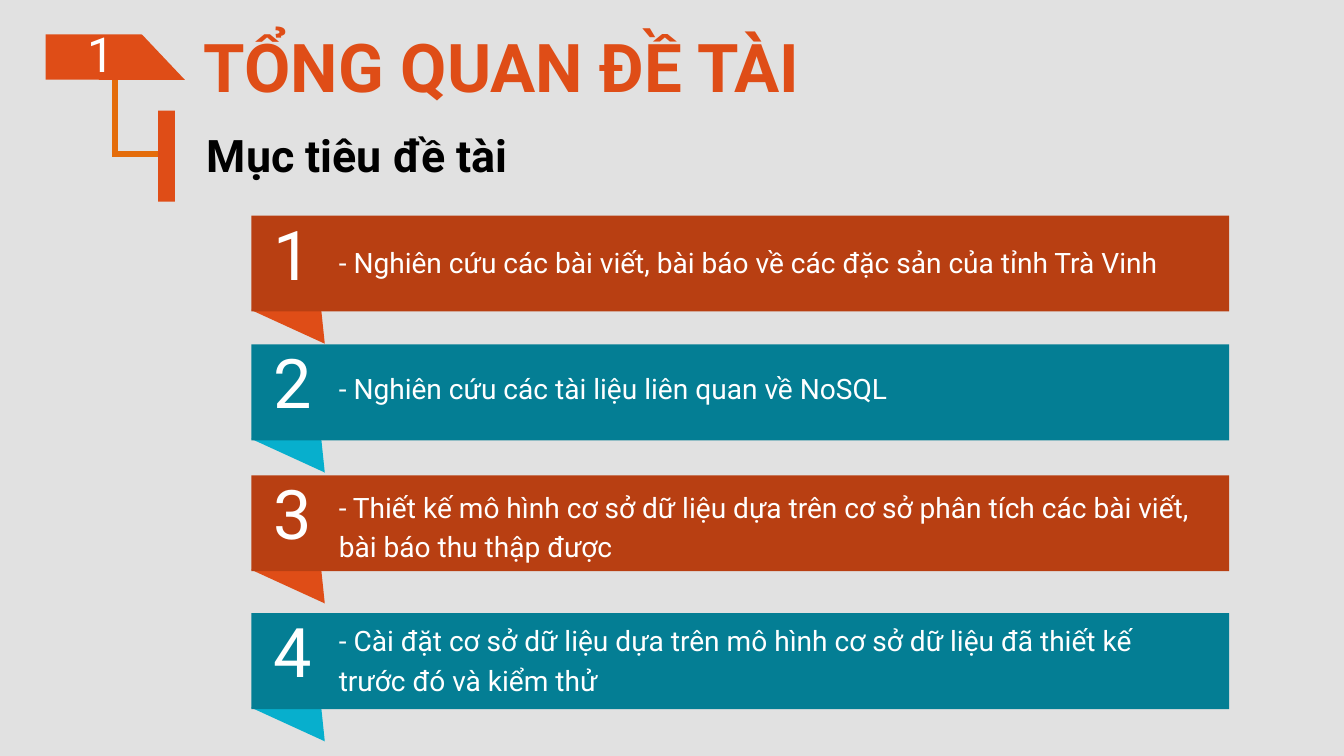
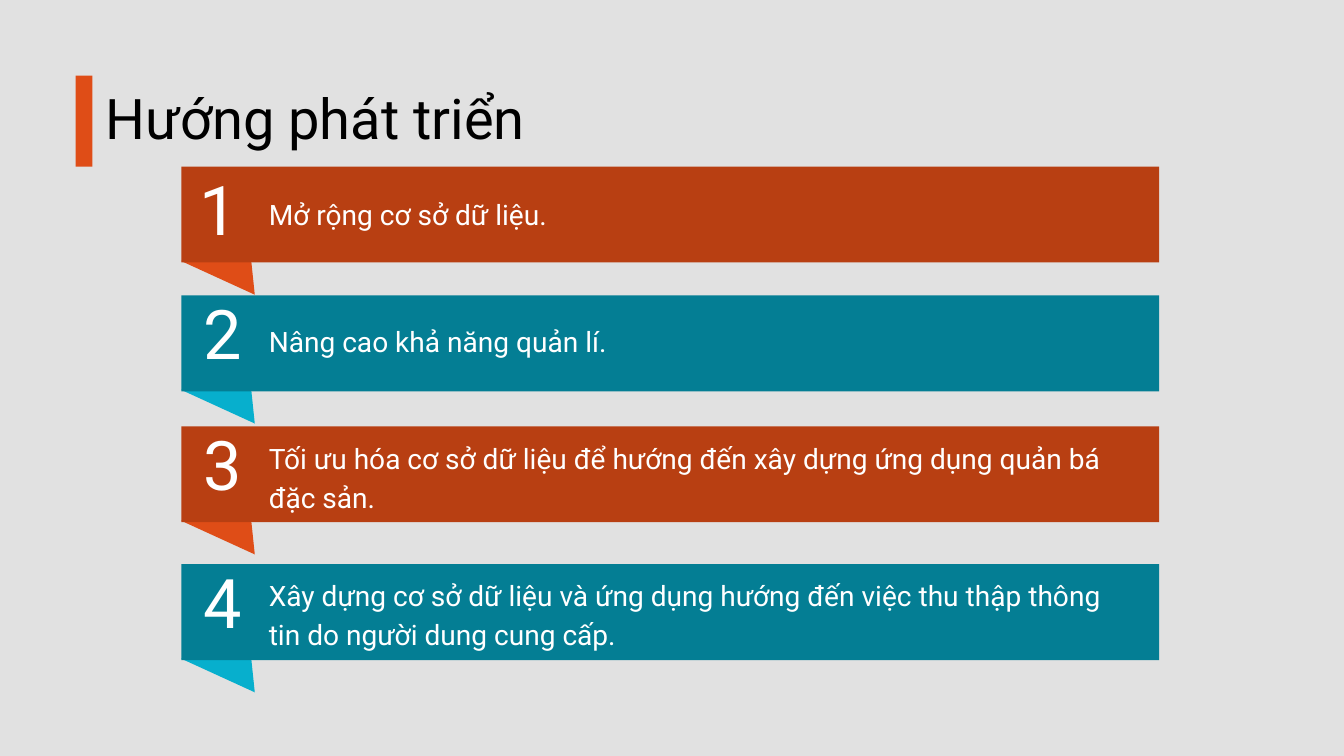
from dataclasses import dataclass
from lxml.etree import SubElement
from pptx import Presentation
from pptx.dml.color import RGBColor
from pptx.enum.shapes import MSO_CONNECTOR as Connector, MSO_SHAPE as Preset
from pptx.enum.text import MSO_ANCHOR as Anchor, MSO_AUTO_SIZE as AutoSize, PP_ALIGN as Align
from pptx.oxml.ns import qn
from pptx.util import Pt

EMU_PER_PX = 9525
TITLE_ONLY = 5
BAND_OFFSETS = (0, 184, 371, 568)
BAND_SIZE = (1397, 137)
FOLD_POINTS = ((0, 135), (93, 68), (105, 183))
BAR_SIZE = (24, 130)


def px(length):
    return length * EMU_PER_PX


@dataclass(frozen=True)
class TextStyle:
    size: float
    spacing: float
    color: str
    bold: bool = False
    align: Align = Align.LEFT


@dataclass(frozen=True)
class Theme:
    font: str = "Roboto"
    background: str = "E1E1E1"
    accent: str = "DF4D17"
    elbow: str = "E46C0A"
    band_colors: tuple = (("B83F12", "DF4D17"), ("047E94", "07AFCD"))
    elbow_width: int = 6
    chapter: TextStyle = TextStyle(72, 112, "DF4D17", bold=True)
    heading: TextStyle = TextStyle(60, 84, "000000")
    subheading: TextStyle = TextStyle(48, 56, "000000", bold=True, align=Align.CENTER)
    tag: TextStyle = TextStyle(51.6, 51.6, "FFFFFF", align=Align.CENTER)
    number: TextStyle = TextStyle(73.3, 73.3, "FFFFFF", align=Align.CENTER)
    item: TextStyle = TextStyle(30.1, 42.2, "FFFFFF")


@dataclass(frozen=True)
class Item:
    text: str
    text_drop: int
    text_height: int = 57
    number_shift: tuple = (0, 0)


class Deck:
    def __init__(self, theme):
        self.theme = theme
        self.presentation = Presentation()
        self.presentation.slide_width = px(1920)
        self.presentation.slide_height = px(1080)
        background = self.presentation.slide_master.background.fill
        background.solid()
        background.fore_color.rgb = RGBColor.from_string(theme.background)
        self.slide = None

    def new_slide(self):
        layout = self.presentation.slide_layouts[TITLE_ONLY]
        self.slide = self.presentation.slides.add_slide(layout)

    def paint(self, shape, color):
        shape.shadow.inherit = False
        shape.fill.solid()
        shape.fill.fore_color.rgb = RGBColor.from_string(color)
        shape.line.fill.background()

    def shape(self, preset, left, top, width, height, color):
        shape = self.slide.shapes.add_shape(preset, px(left), px(top), px(width), px(height))
        self.paint(shape, color)

    def polygon(self, points, color):
        start, *others = points
        builder = self.slide.shapes.build_freeform(*start, scale=EMU_PER_PX)
        builder.add_line_segments(others, close=True)
        self.paint(builder.convert_to_shape(), color)

    def line(self, start, end, color, width):
        connector = self.slide.shapes.add_connector(
            Connector.STRAIGHT, *map(px, start), *map(px, end))
        connector.line.color.rgb = RGBColor.from_string(color)
        connector.line.width = Pt(width)
        properties = connector.element.find(qn("p:spPr"))
        SubElement(properties, qn("a:effectLst"))

    def fill_text(self, shape, text, style):
        frame = shape.text_frame
        frame.word_wrap = True
        frame.auto_size = AutoSize.SHAPE_TO_FIT_TEXT
        frame.vertical_anchor = Anchor.TOP
        frame.margin_left = frame.margin_right = frame.margin_top = frame.margin_bottom = 0
        paragraph = frame.paragraphs[0]
        paragraph.alignment = style.align
        paragraph.line_spacing = Pt(style.spacing)
        run = paragraph.add_run()
        run.text = text
        run.font.name = self.theme.font
        run.font.size = Pt(style.size)
        run.font.bold = style.bold
        run.font.color.rgb = RGBColor.from_string(style.color)

    def text(self, text, left, top, width, height, style):
        box = self.slide.shapes.add_textbox(px(left), px(top), px(width), px(height))
        self.fill_text(box, text, style)

    def title(self, text, left, top, width, height, style):
        title = self.slide.shapes.title
        title.left, title.top = px(left), px(top)
        title.width, title.height = px(width), px(height)
        self.fill_text(title, text, style)

    def accent_bar(self, left, top):
        self.shape(Preset.RECTANGLE, left, top, *BAR_SIZE, self.theme.accent)

    def chapter_tag(self, number):
        theme = self.theme
        self.line((164, 111), (164, 220), theme.elbow, theme.elbow_width)
        self.line((160, 220), (231, 220), theme.elbow, theme.elbow_width)
        self.shape(Preset.RECTANGLE, 65, 49, 137, 65, theme.accent)
        self.shape(Preset.ISOSCELES_TRIANGLE, 141, 49, 123, 65, theme.accent)
        self.text(number, 64, 49, 160, 69, theme.tag)

    def band(self, left, top, number, item):
        band_color, fold_color = self.theme.band_colors[(number - 1) % 2]
        self.polygon([(left + x, top + y) for x, y in FOLD_POINTS], fold_color)
        self.shape(Preset.RECTANGLE, left, top, *BAND_SIZE, band_color)
        shift_x, shift_y = item.number_shift
        self.text(str(number), left - 55 + shift_x, top + 14 + shift_y, 228, 98,
                  self.theme.number)
        self.text(item.text, left + 125, top + item.text_drop, 1239, item.text_height,
                  self.theme.item)

    def bands(self, left, top, items):
        for number, (offset, item) in enumerate(zip(BAND_OFFSETS, items), 1):
            self.band(left, top + offset, number, item)


def add_objectives(deck):
    deck.new_slide()
    deck.title("TỔNG QUAN ĐỀ TÀI", 291, 2, 908, 151, deck.theme.chapter)
    deck.bands(359, 308, (
        Item("- Nghiên cứu các bài viết, bài báo về các đặc sản của tỉnh Trà Vinh", 35),
        Item("- Nghiên cứu các tài liệu liên quan về NoSQL", 30),
        Item("- Thiết kế mô hình cơ sở dữ liệu dựa trên cơ sở phân tích các bài viết, "
             "bài báo thu thập được", 13, 113),
        Item("- Cài đặt cơ sở dữ liệu dựa trên mô hình cơ sở dữ liệu đã thiết kế trước "
             "đó và kiểm thử", 7, 113),
    ))
    deck.chapter_tag("1")
    deck.accent_bar(226, 158)
    deck.text("Mục tiêu đề tài", 237, 185, 547, 76, deck.theme.subheading)


def add_future_work(deck):
    deck.new_slide()
    deck.title("Hướng phát triển", 151, 103, 703, 113, deck.theme.heading)
    deck.accent_bar(108, 108)
    deck.bands(259, 238, (
        Item("Mở rộng cơ sở dữ liệu.", 36, number_shift=(-5, 6)),
        Item("Nâng cao khả năng quản lí.", 34),
        Item("Tối ưu hóa cơ sở dữ liệu để hướng đến xây dựng ứng dụng quản bá "
             "đặc sản.", 13, 113),
        Item("Xây dựng cơ sở dữ liệu và ứng dụng hướng đến việc thu thập thông "
             "tin do người dung cung cấp.", 12, 113),
    ))


def main():
    deck = Deck(Theme())
    add_objectives(deck)
    add_future_work(deck)
    deck.presentation.save("out.pptx")


if __name__ == "__main__":
    main()
